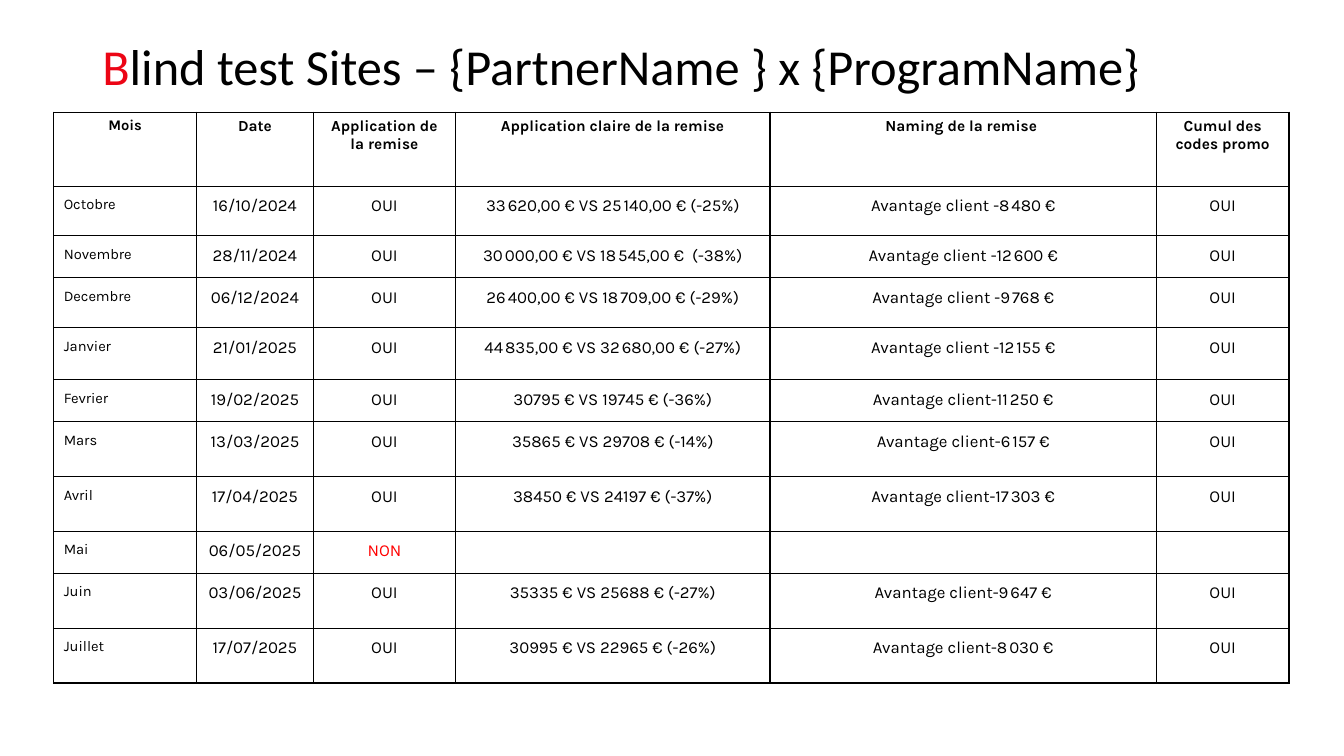
from lxml.etree import SubElement
from pptx import Presentation
from pptx.dml.color import RGBColor
from pptx.enum.shapes import MSO_CONNECTOR
from pptx.enum.text import MSO_ANCHOR, PP_ALIGN
from pptx.oxml.ns import qn
from pptx.util import Pt

COLORS = {"black": "000000", "white": "FFFFFF", "accent": "EC0515", "alert": "FF0000"}
NB = chr(0x202F)  # narrow no-break space between thousands

HEADS = ["Mois", "Date", "Application de la remise", "Application claire de la remise",
         "Naming de la remise ", "Cumul des codes promo"]
TESTS = [
    ["Octobre", "16/10/2024", "OUI", f"33{NB}620,00 € VS 25{NB}140,00 € (-25%)",
     f"Avantage client -8{NB}480 €", "OUI"],
    ["Novembre", "28/11/2024", "OUI", f"30{NB}000,00 € VS 18{NB}545,00 €  (-38%)",
     f"Avantage client -12{NB}600 €", "OUI"],
    ["Decembre", "06/12/2024", "OUI", f"26{NB}400,00 € VS 18{NB}709,00 € (-29%)",
     f"Avantage client -9{NB}768 €", "OUI"],
    ["Janvier", "21/01/2025", "OUI", f"44{NB}835,00 € VS 32{NB}680,00 € (-27%)",
     f"Avantage client -12{NB}155 €", "OUI"],
    ["Fevrier", "19/02/2025", "OUI", "30795 € VS 19745 € (-36%)",
     f"Avantage client-11{NB}250 €", "OUI"],
    ["Mars", "13/03/2025", "OUI", "35865 € VS 29708 € (-14%)",
     f"Avantage client-6{NB}157 €", "OUI"],
    ["Avril", "17/04/2025", "OUI", "38450 € VS 24197 € (-37%)",
     f"Avantage client-17{NB}303 €", "OUI"],
    ["Mai", "06/05/2025", "NON", "", "", ""],
    ["Juin", "03/06/2025", "OUI", "35335 € VS 25688 € (-27%)",
     f"Avantage client-9{NB}647 €", "OUI"],
    ["Juillet", "17/07/2025", "OUI", "30995 € VS 22965 € (-26%)",
     f"Avantage client-8{NB}030 €", "OUI"],
]
WIDTHS = [102, 83.5, 101.5, 224.7, 276, 94.7]
HEIGHTS = [53, 35.3, 30, 35.5, 37.3, 30, 39.2, 39.2, 30, 39.2, 39.2]


def add_run(para, text, font, size, color, bold=False):
    run = para.add_run()
    run.text = text
    run.font.name = font
    run.font.size = Pt(size)
    run.font.bold = bold
    run.font.color.rgb = RGBColor.from_string(COLORS[color])


def add_edges(cell):
    """Draw a thin black line on all four sides of a cell."""
    props = cell._tc.get_or_add_tcPr()
    for place, side in enumerate(["lnL", "lnR", "lnT", "lnB"]):
        line = props.makeelement(qn(f"a:{side}"), {"w": str(Pt(1))})
        fill = SubElement(line, qn("a:solidFill"))
        SubElement(fill, qn("a:srgbClr"), val=COLORS["black"])
        props.insert(place, line)


deck = Presentation()
deck.slide_width, deck.slide_height = Pt(960), Pt(540)
slide = deck.slides.add_slide(deck.slide_layouts[6])

# Rule under the title
rule = slide.shapes.add_connector(MSO_CONNECTOR.STRAIGHT, Pt(64.8), Pt(80), Pt(908.6), Pt(80))
rule.line.color.rgb = RGBColor.from_string(COLORS["white"])
rule.line.width = Pt(1)
SubElement(rule._element.spPr, qn("a:effectLst"))

# Title
frame = slide.shapes.add_textbox(Pt(66), Pt(18.5), Pt(828), Pt(62)).text_frame
frame.word_wrap = True
frame.vertical_anchor = MSO_ANCHOR.MIDDLE
title = frame.paragraphs[0]
title.line_spacing = 0.9
add_run(title, "B", "Calibri", 36, "accent")
add_run(title, "lind test Sites – {PartnerName } x {ProgramName}", "Calibri", 36, "black")

# Table of monthly tests
rows = [HEADS] + TESTS
table = slide.shapes.add_table(len(rows), len(HEADS), Pt(38.4), Pt(80.2),
                               Pt(sum(WIDTHS)), Pt(sum(HEIGHTS))).table
table.horz_banding = False
table.first_row = False
for col, width in zip(table.columns, WIDTHS):
    col.width = Pt(width)
for row, height in zip(table.rows, HEIGHTS):
    row.height = Pt(height)

for r, texts in enumerate(rows):
    head = r == 0
    for c, text in enumerate(texts):
        cell = table.cell(r, c)
        cell.fill.solid()
        cell.fill.fore_color.rgb = RGBColor.from_string(COLORS["white"])
        add_edges(cell)
        cell.margin_left = cell.margin_right = Pt(7.2)
        cell.margin_top = cell.margin_bottom = Pt(3.6 if head else 7.2)
        para = cell.text_frame.paragraphs[0]
        para.alignment = PP_ALIGN.CENTER if head or c else PP_ALIGN.LEFT
        size = 10.5 if c == 0 else 11 if head else 12
        if text:
            add_run(para, text, "Karla", size, "alert" if text == "NON" else "black", head)
        else:
            # Keeps an empty cell from growing its row
            SubElement(para._p, qn("a:endParaRPr"), sz=str(size * 100))

deck.save("out.pptx")
